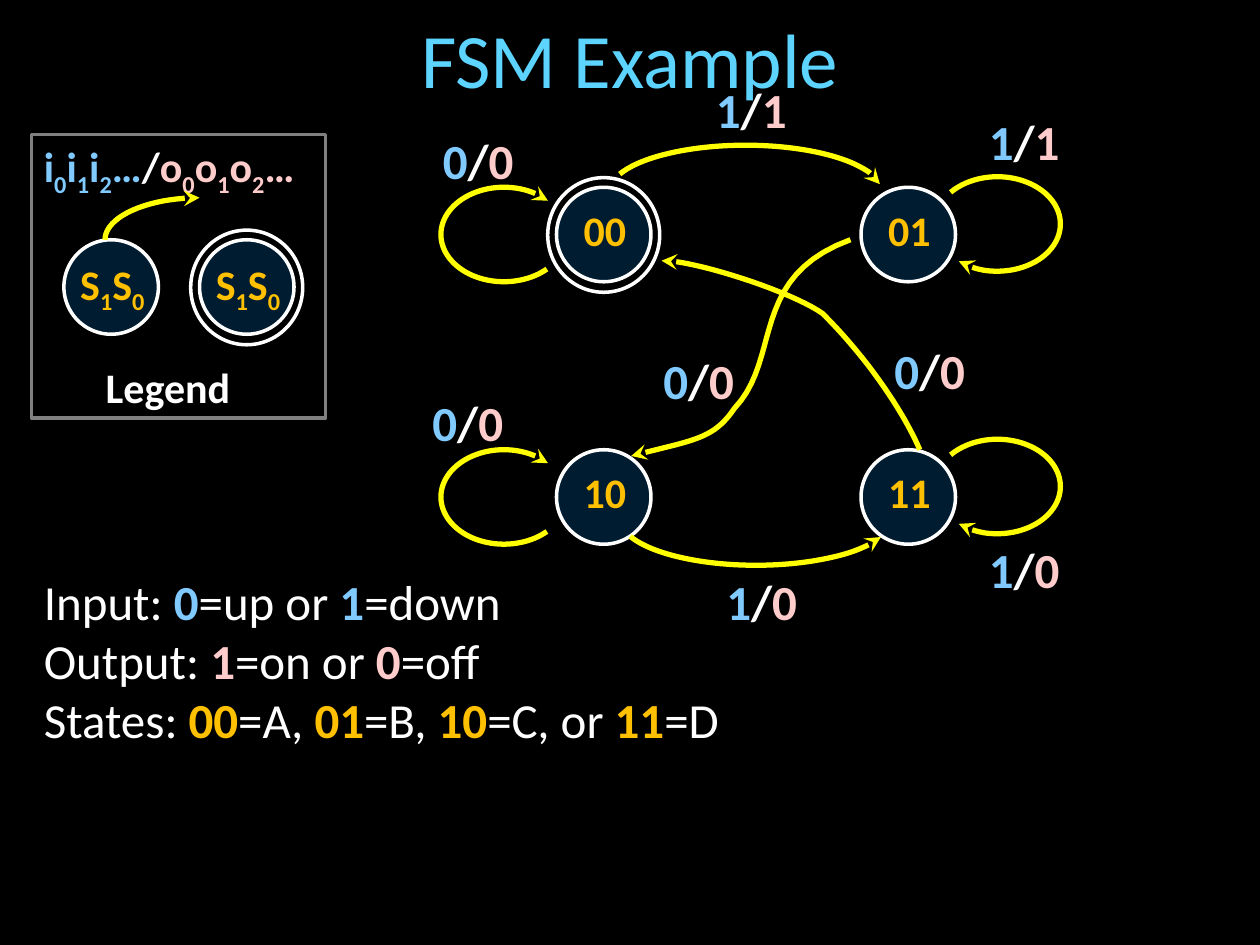
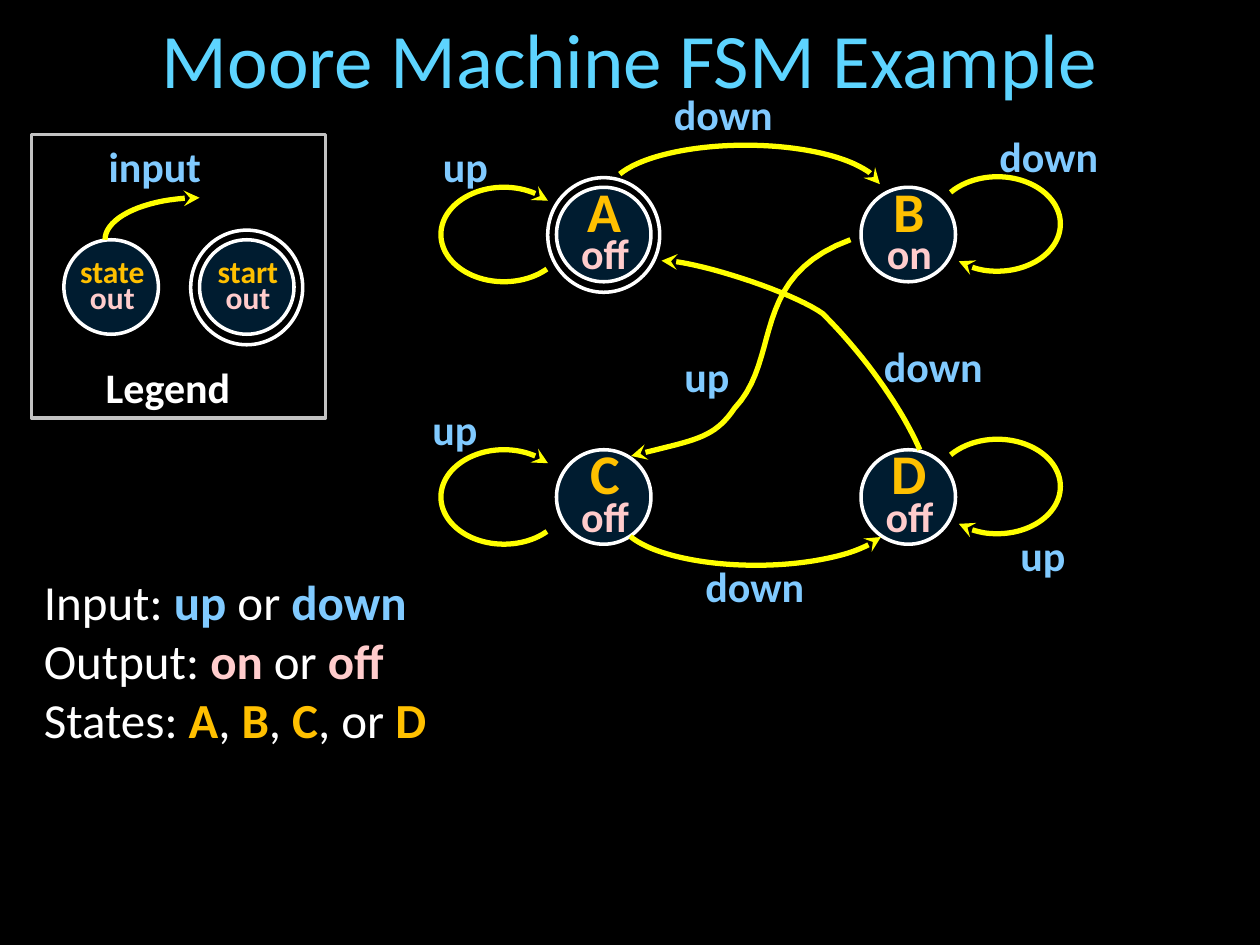
from lxml import etree
from pptx import Presentation
from pptx.dml.color import RGBColor
from pptx.enum import shapes, text
from pptx.oxml.ns import qn
from pptx.util import Pt

WHITE, TITLE, ARROW, DISC = "FFFFFF", "5DD4FF", "FFFF00", "003860"
IN, OUT, STATE = "80CAFF", "FFCCCC", "FFC000"
OVAL, ARC = shapes.MSO_SHAPE.OVAL, shapes.MSO_SHAPE.ARC
CENTER, MIDDLE = text.PP_ALIGN.CENTER, text.MSO_ANCHOR.MIDDLE


def write(shape, lines, sizes=(24,), bold=True, wrap=True, align=None, anchor=None, spacing=None):
    """Fill a shape with lines of (text, colour); in a text, every second part between bars is a subscript.

    Without bold, only coloured parts are bold. Sizes repeat over the lines.
    """
    tf = shape.text_frame
    tf.word_wrap = wrap
    tf.vertical_anchor = anchor
    for n, line in enumerate(lines):
        p = tf.add_paragraph() if n else tf.paragraphs[0]
        p.alignment = align
        p.line_spacing = spacing
        for words, color in line:
            for i, part in enumerate(words.split("|")):
                r = p.add_run()
                r.text = part
                r.font.name = "Calibri"
                r.font.size = Pt(sizes[n % len(sizes)])
                r.font.bold = bold or color in (IN, OUT, STATE)
                r.font.color.rgb = RGBColor.from_string(color)
                if i % 2:
                    r.font._element.set("baseline", "-25000")


def style(shape, color, width=2, fill=None, arrow=False):
    """Set the line, an optional half-transparent fill and an optional arrowhead."""
    shape.shadow.inherit = False
    shape.line.color.rgb = RGBColor.from_string(color)
    shape.line.width = Pt(width)
    if fill:
        shape.fill.solid()
        shape.fill.fore_color.rgb = RGBColor.from_string(fill)
        clr = shape._element.spPr.find(qn("a:solidFill"))[0]
        etree.SubElement(clr, qn("a:alpha"), val="50000")
    else:
        shape.fill.background()
    if arrow:
        ln = shape._element.spPr.find(qn("a:ln"))
        etree.SubElement(ln, qn("a:tailEnd"), type="stealth")


# Left and top of each state, and whether it is a start state
LEFT, RIGHT, UPPER, LOWER = 318, 492, 107, 257
nodes = [
    (36.5, 137, False), (114, 137, True),
    (LEFT, UPPER, True), (RIGHT, UPPER, False),
    (LEFT, LOWER, False), (RIGHT, LOWER, False),
]

# Left, top, width, start and end adjustment, upside down
arcs = [
    (348, 83, 156, 112.99, 213.88, False),
    (354, 269, 156, 112.99, 210.81, True),
]
for top in (UPPER, LOWER):
    arcs.append((LEFT - 66, top, 72, 23.26, 193.55, False))
    arcs.append((RIGHT + 42, top - 6, 72, 128.43, 81.57, False))

# Bezier curves: a start, then three points for each piece
curves = [
    [(60, 137), (60, 124), (84, 113), (114, 113)],
    [(486, 137), (427.7, 158.4), (447, 204.5), (419.8, 233.3),
     (407.5, 251.3), (396.7, 251.3), (360.7, 260.6)],
    [(525.6, 257), (517, 237), (497.5, 206.6), (470.2, 179.3),
     (452, 166.3), (395.3, 148.3), (378, 149)],
]
STEPS = 20

mealy = {
    "title": "FSM Example",
    "border": "808080",
    "legend": (18, [("i|0|i|1|i|2|…", IN), ("/", WHITE), ("o|0|o|1|o|2|…", OUT)]),
    "states": [([[(name, STATE)]], (24,)) for name in
               ("S|1|S|0|", "S|1|S|0|", "00", "01", "10", "11")],
    "label size": 28,
    "labels": [
        (x, y, [(i, IN), ("/", WHITE), (o, OUT)]) for x, y, i, o in (
            (402, 42, "1", "1"), (246, 71, "0", "0"), (558, 60, "1", "1"), (408, 323, "1", "0"),
            (240, 221, "0", "0"), (558, 305, "1", "0"), (504, 191, "0", "0"), (372, 197, "0", "0"))
    ],
    "key width": 421,
    "key": [
        [("Input: ", WHITE), ("0", IN), ("=up or ", WHITE), ("1", IN), ("=down", WHITE)],
        [("Output: ", WHITE), ("1", OUT), ("=on or ", WHITE), ("0", OUT), ("=off", WHITE)],
        [("States: ", WHITE), ("00", STATE), ("=A, ", WHITE), ("01", STATE), ("=B, ", WHITE),
         ("10", STATE), ("=C, or ", WHITE), ("11", STATE), ("=D", WHITE)],
    ],
}
moore = {
    "title": "Moore Machine FSM Example",
    "border": "C2C2C2",
    "legend": (55, [("input", IN)]),
    "states": [([[(name, STATE)], [(out, OUT)]], sizes) for name, out, sizes in (
        ("state", "out", (18,)), ("start", "out", (18,)), ("A", "off", (32, 24)),
        ("B", "on", (32, 24)), ("C", "off", (32, 24)), ("D", "off", (32, 24)))],
    "label size": 24,
    "labels": [
        (x, y, [(word, IN)]) for x, y, word in (
            (378, 47, "down"), (246, 77, "up"), (564, 71, "down"), (396, 317, "down"),
            (240, 227, "up"), (576, 299, "up"), (498, 191, "down"), (384, 197, "up"))
    ],
    "key width": 238,
    "key": [
        [("Input: ", WHITE), ("up", IN), (" or ", WHITE), ("down", IN)],
        [("Output: ", WHITE), ("on", OUT), (" or ", WHITE), ("off", OUT)],
        [("States: ", WHITE), ("A", STATE), (", ", WHITE), ("B", STATE), (", ", WHITE),
         ("C", STATE), (", or ", WHITE), ("D", STATE)],
    ],
}

prs = Presentation()
prs.slide_width, prs.slide_height = Pt(720), Pt(540)
bg = prs.slide_master.background.fill
bg.solid()
bg.fore_color.rgb = RGBColor.from_string("000000")

for machine in (mealy, moore):
    s = prs.slides.add_slide(prs.slide_layouts[5])
    sp = s.shapes.title
    sp.left, sp.top, sp.width, sp.height = Pt(18), Pt(12), Pt(684), Pt(42)
    write(sp, [[(machine["title"], TITLE)]], sizes=(44,), bold=False, align=CENTER, anchor=MIDDLE)

    # Legend
    sp = s.shapes.add_shape(shapes.MSO_SHAPE.RECTANGLE, Pt(18), Pt(77), Pt(168), Pt(162))
    style(sp, machine["border"])
    sp = s.shapes.add_textbox(Pt(48), Pt(203), Pt(96), Pt(36))
    write(sp, [[("Legend", WHITE)]], align=CENTER, anchor=MIDDLE)
    x, line = machine["legend"]
    write(s.shapes.add_textbox(Pt(x), Pt(77), Pt(171), Pt(29)), [line])

    # States
    for (x, y, start), (lines, sizes) in zip(nodes, machine["states"]):
        sp = s.shapes.add_shape(OVAL, Pt(x), Pt(y), Pt(54), Pt(54))
        style(sp, WHITE, fill=DISC)
        if start:
            ring = s.shapes.add_shape(OVAL, Pt(x - 5), Pt(y - 5.5), Pt(64), Pt(65.5))
            style(ring, WHITE)
        sp = s.shapes.add_textbox(Pt(x + 0.7), Pt(y + 14.2), Pt(54), Pt(27))
        write(sp, lines, sizes=sizes, align=CENTER, anchor=MIDDLE, spacing=0.7)

    # Transitions
    for x, y, w, begin, end, flipped in arcs:
        sp = s.shapes.add_shape(ARC, Pt(x), Pt(y), Pt(w), Pt(54))
        sp.adjustments[0], sp.adjustments[1] = begin, end
        if flipped:
            sp._element.spPr.find(qn("a:xfrm")).set("flipV", "1")
        style(sp, ARROW, width=3, arrow=True)
    for curve in curves:
        points = []
        for k in range(0, len(curve) - 1, 3):
            for step in range(1, STEPS + 1):
                t = step / STEPS
                weights = ((1 - t) ** 3, 3 * t * (1 - t) ** 2, 3 * t * t * (1 - t), t ** 3)
                points.append([Pt(sum(w * c[axis] for w, c in zip(weights, curve[k:k + 4])))
                               for axis in (0, 1)])
        builder = s.shapes.build_freeform(Pt(curve[0][0]), Pt(curve[0][1]))
        builder.add_line_segments(points, close=False)
        style(builder.convert_to_shape(), ARROW, width=3, arrow=True)
    for x, y, line in machine["labels"]:
        sp = s.shapes.add_textbox(Pt(x), Pt(y), Pt(96), Pt(29))
        write(sp, [line], sizes=(machine["label size"],))

    # Key to the symbols
    sp = s.shapes.add_textbox(Pt(18), Pt(323), Pt(machine["key width"]), Pt(109))
    write(sp, machine["key"], sizes=(28,), bold=False, wrap=False)

prs.save("out.pptx")
